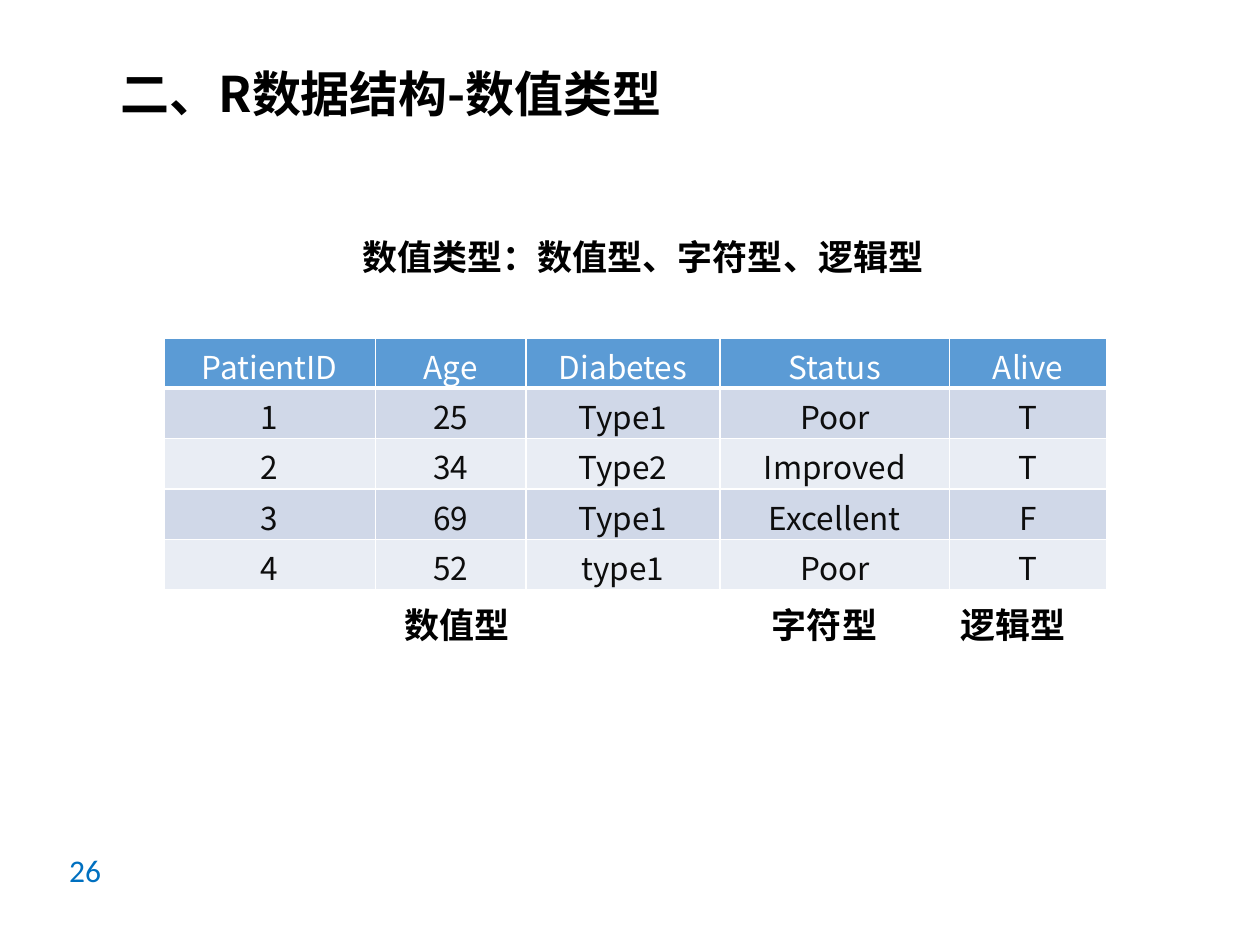
import pptx
import pptx.dml.color
import pptx.enum.text
import pptx.oxml
import pptx.oxml.ns
import pptx.util
from dataclasses import dataclass

Pt = pptx.util.Pt
ALIGN = pptx.enum.text.PP_ALIGN
ANCHOR = pptx.enum.text.MSO_ANCHOR


@dataclass(frozen=True)
class Theme:
    chinese_font: str = "Noto Sans CJK SC"
    number_font: str = "Calibri"
    ink: str = "000000"
    cell_ink: str = "0D0D0D"
    white: str = "FFFFFF"
    number_blue: str = "0070C0"
    header_fill: str = "5B9BD5"
    bands: tuple = ("D0D8E8", "E9EDF4")
    title_size: int = 28
    label_size: int = 20
    body_size: int = 18


def rgb(value):
    return pptx.dml.color.RGBColor.from_string(value)


class SlideBuilder:
    def __init__(self, slide, theme):
        self.slide = slide
        self.theme = theme

    def style_text(self, frame, text, size, color, bold=False, align=ALIGN.LEFT, font=None):
        font = font or self.theme.chinese_font
        frame.text = text
        para = frame.paragraphs[0]
        para.alignment = align
        for span in para.runs:
            span.font.size = Pt(size)
            span.font.bold = bold
            span.font.name = font
            span.font.color.rgb = rgb(color)
            east_asian = pptx.oxml.parse_xml(
                f'<a:ea {pptx.oxml.ns.nsdecls("a")} typeface="{font}"/>')
            span.font._element.find(pptx.oxml.ns.qn("a:latin")).addnext(east_asian)

    def title(self, text, left, top, width, height):
        box = self.slide.shapes.title
        box.left, box.top, box.width, box.height = map(Pt, (left, top, width, height))
        frame = box.text_frame
        frame.word_wrap = True
        frame.auto_size = pptx.enum.text.MSO_AUTO_SIZE.NONE
        frame.vertical_anchor = ANCHOR.MIDDLE
        frame.margin_left = frame.margin_right = Pt(5)
        frame.margin_top = frame.margin_bottom = Pt(3)
        self.style_text(frame, text, self.theme.title_size, self.theme.ink, bold=True)

    def text(self, text, left, top, width, height, size, color,
             anchor=ANCHOR.TOP, **style):
        box = self.slide.shapes.add_textbox(*map(Pt, (left, top, width, height)))
        frame = box.text_frame
        frame.word_wrap = True
        frame.vertical_anchor = anchor
        self.style_text(frame, text, size, color, **style)

    def cell_borders(self, cell, widths):
        """Draw white borders; widths maps the side letters L, R, T, B to points."""
        properties = cell._tc.get_or_add_tcPr()
        for side, width in widths.items():
            properties.append(pptx.oxml.parse_xml(
                f'<a:ln{side} {pptx.oxml.ns.nsdecls("a")} w="{Pt(width)}"><a:solidFill>'
                f'<a:srgbClr val="{self.theme.white}"/></a:solidFill></a:ln{side}>'))

    def table(self, rows, left, top, column_widths, row_height):
        theme = self.theme
        grid = self.slide.shapes.add_table(
            len(rows), len(column_widths), Pt(left), Pt(top),
            Pt(sum(column_widths)), Pt(row_height * len(rows))).table
        grid.first_row = grid.horz_banding = False
        for column, width in zip(grid.columns, column_widths):
            column.width = Pt(width)
        for row_index, values in enumerate(rows):
            is_header = row_index == 0
            fill = theme.header_fill if is_header else theme.bands[(row_index - 1) % 2]
            ink = theme.white if is_header else theme.cell_ink
            borders = {"L": 1, "R": 1, "T": 3 if row_index == 1 else 1,
                       "B": 3 if is_header else 1}
            for column_index, value in enumerate(values):
                cell = grid.cell(row_index, column_index)
                # Tight margins keep the tall CJK line inside the row height.
                cell.margin_top, cell.margin_bottom = Pt(2.7), Pt(0)
                self.cell_borders(cell, borders)
                cell.fill.solid()
                cell.fill.fore_color.rgb = rgb(fill)
                self.style_text(cell.text_frame, value, theme.body_size, ink,
                                align=ALIGN.CENTER)


PATIENTS = [
    ("PatientID", "Age", "Diabetes", "Status", "Alive"),
    ("1", "25", "Type1", "Poor", "T"),
    ("2", "34", "Type2", "Improved", "T"),
    ("3", "69", "Type1", "Excellent", "F"),
    ("4", "52", "type1", "Poor", "T"),
]
TYPE_LABELS = [("数值型", 224, 101), ("字符型", 434, 99), ("逻辑型", 542, 89)]


def main():
    theme = Theme()
    deck = pptx.Presentation()
    deck.slide_width, deck.slide_height = Pt(720), Pt(540)
    page = SlideBuilder(deck.slides.add_slide(deck.slide_layouts[5]), theme)

    page.title("二、R数据结构-数值类型", 64, 33, 394, 40)
    page.text("26", 32.4, 483, 162, 29, theme.body_size, theme.number_blue,
              font=theme.number_font)
    page.text("数值类型：数值型、字符型、逻辑型", 32.4, 117.4, 670, 58,
              theme.label_size, theme.ink, anchor=ANCHOR.MIDDLE,
              bold=True, align=ALIGN.CENTER)
    page.table(PATIENTS, 93.6, 193, (121, 86, 111, 131, 90), 28.8)
    for label, left, width in TYPE_LABELS:
        page.text(label, left, 341.3, width, 32, theme.label_size, theme.ink, bold=True)

    deck.save("out.pptx")


if __name__ == "__main__":
    main()
